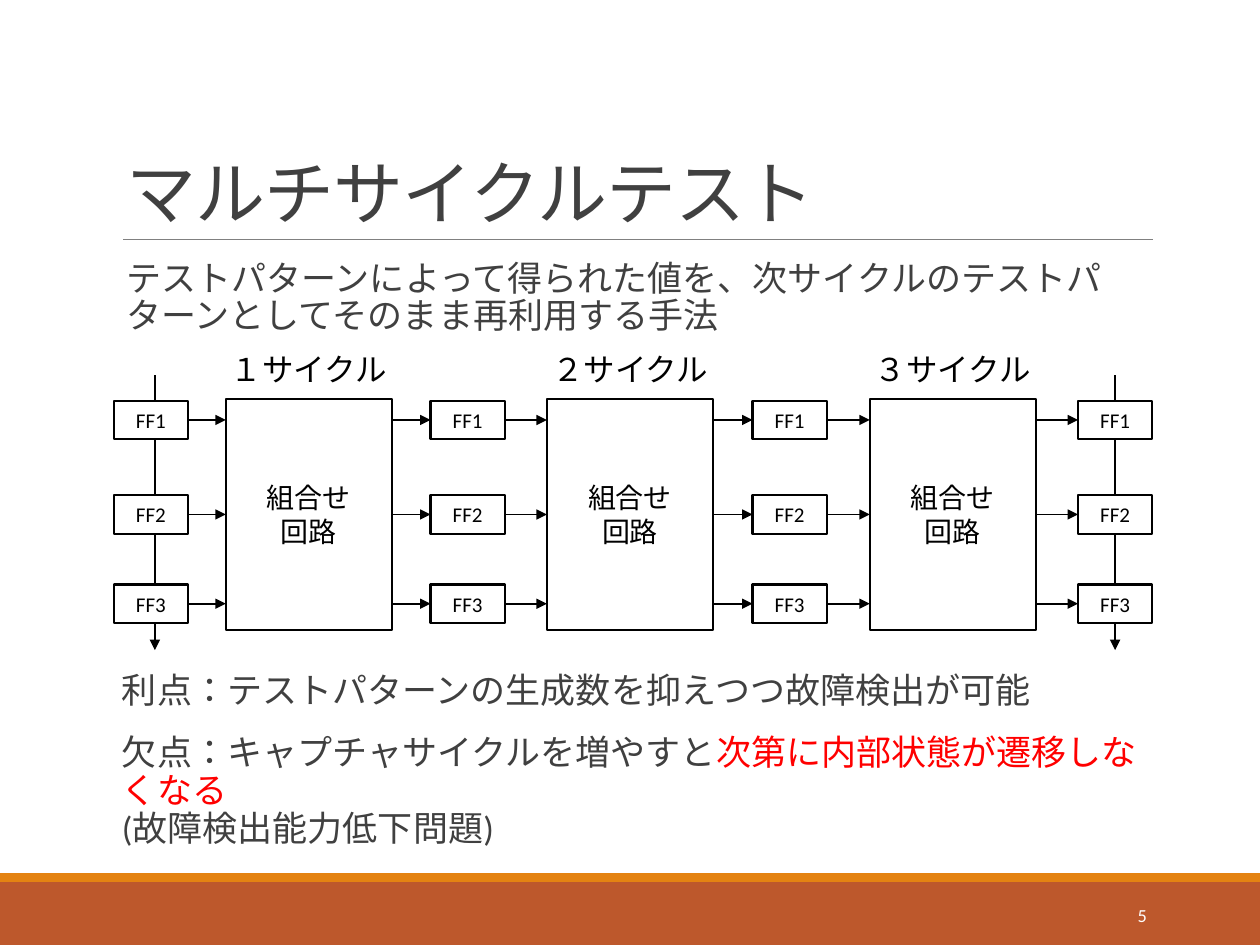
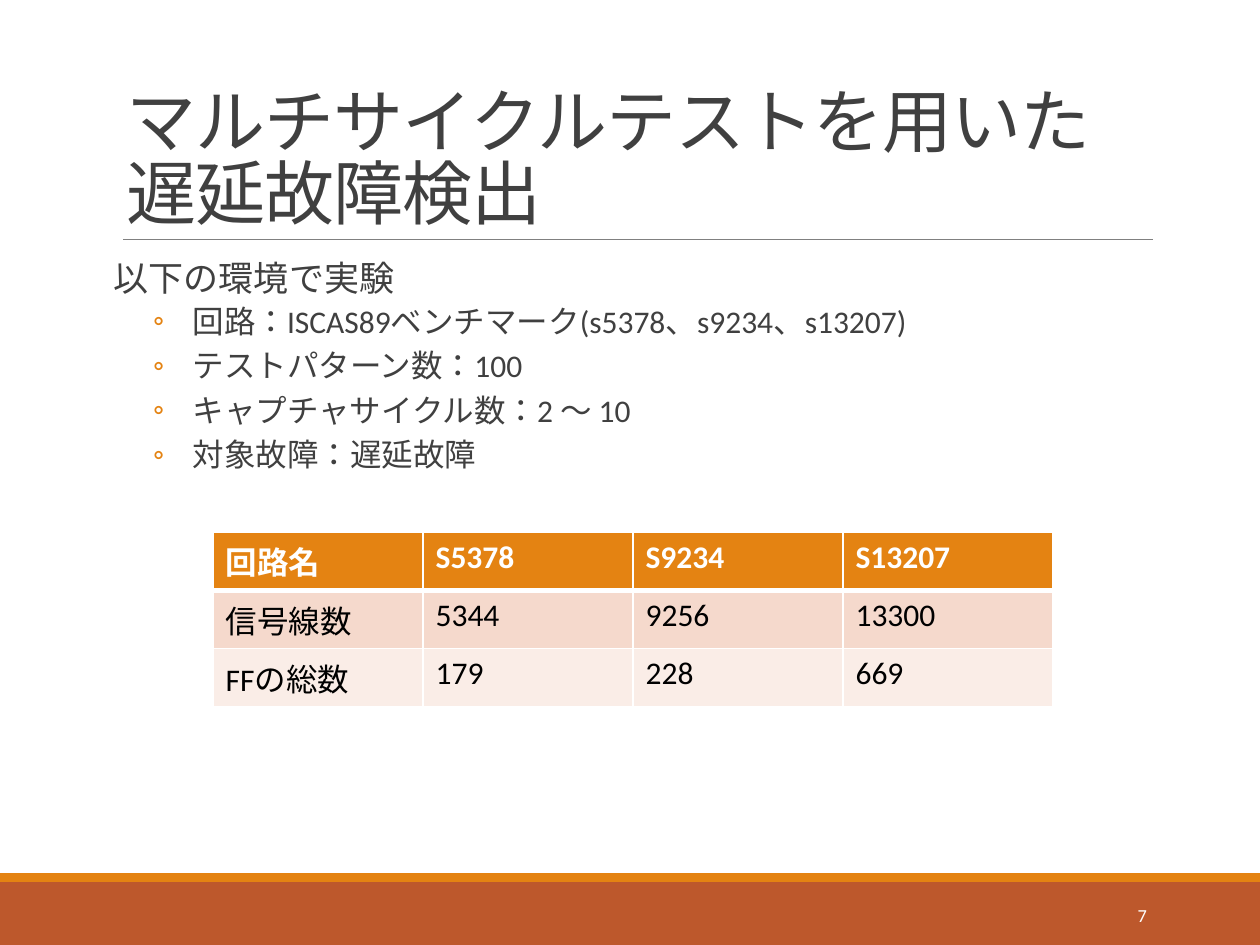
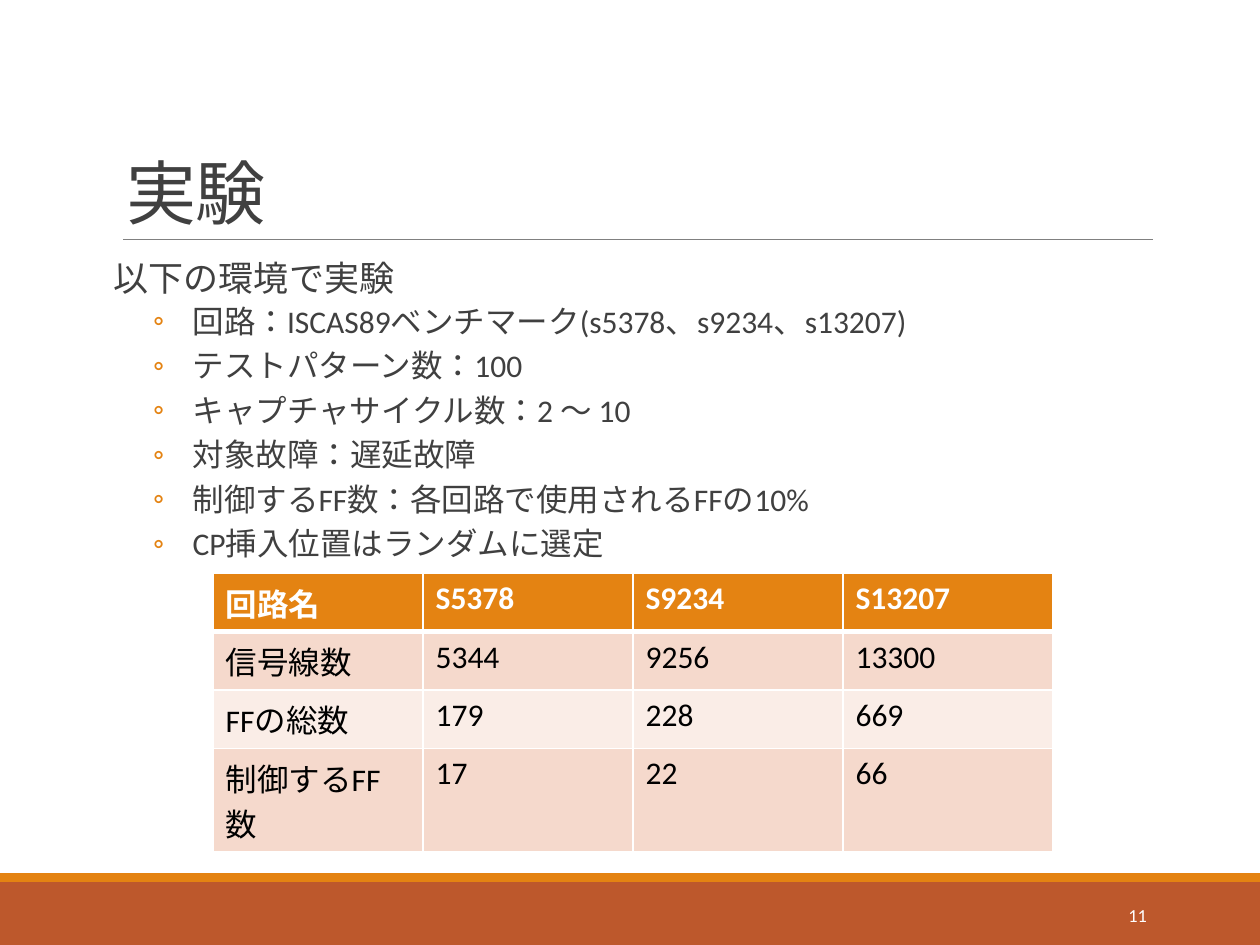
from dataclasses import dataclass

from lxml import etree
from pptx import Presentation
from pptx import util as u
from pptx.dml.color import RGBColor
from pptx.enum import lang, shapes, text
from pptx.oxml.ns import qn

Pt = u.Pt
LEFT, CENTER, RIGHT = (text.PP_ALIGN.LEFT, text.PP_ALIGN.CENTER,
                       text.PP_ALIGN.RIGHT)
TOP, MIDDLE, BOTTOM = (text.MSO_ANCHOR.TOP, text.MSO_ANCHOR.MIDDLE,
                       text.MSO_ANCHOR.BOTTOM)
LEFT_SIDE, RIGHT_SIDE = 1, 3  # connection sites of a rectangle


@dataclass(frozen=True)
class Theme:
    font: str = "Calibri"
    # Colours
    ink: str = "404040"
    black: str = "000000"
    white: str = "FFFFFF"
    alert: str = "FF0000"
    accent: str = "E48312"
    footer: str = "BD582C"
    rule: str = "808080"
    stripes: tuple = ("FAEDE7", "F5D9CC")
    # Type sizes
    title: float = 40
    body: float = 20
    item: float = 18
    circuit: float = 16
    ff: float = 12
    number: float = 10.5


@dataclass(frozen=True)
class ListStyle:
    size: float
    before: float
    after: float
    margin: float = 0
    hanging: float = 0
    bullet: str = ""
    level: int = 0


T = Theme()
LEAD = ListStyle(T.body, 12, 2)
NOTE = ListStyle(T.body, 12, 2, 7.2, 7.2, " ")
ITEM = ListStyle(T.item, 2, 4, 45, 22.5, "◦", 1)


def rgb(color):
    return RGBColor.from_string(color)


def add_color(parent, tag, color):
    el = etree.SubElement(parent, qn(tag))
    etree.SubElement(el, qn("a:srgbClr"), val=color)


class Deck:
    def __init__(self, theme):
        self.t = theme
        self.prs = Presentation()
        self.prs.slide_width, self.prs.slide_height = Pt(720), Pt(540)
        self.s = None

    # Slide frame: title, bands, rule and page number
    def new_slide(self, title, number):
        t = self.t
        self.s = self.prs.slides.add_slide(self.prs.slide_layouts[1])
        self.rect(0, 504, 720, 36, t.footer)
        self.rect(0, 499, 720, 5, t.accent)
        self.line(70.5, 136.8, 658.8, 136.8, t.rule, 0.5)
        sp = self.s.shapes.title
        self.place(sp, 65, 22.5, 594, 114.5)
        tf = self.frame(sp, BOTTOM)
        tf.text = title
        p = tf.paragraphs[0]
        p.alignment, p.line_spacing = LEFT, 0.85
        self.format_runs(p, t.title, t.ink)
        for r in p.runs:
            r.font._element.set("spc", "-50")
        self.label(584.5, 508.5, 78, 28.5, str(number), t.number, t.white, RIGHT)

    def place(self, sp, x, y, w, h):
        sp.left, sp.top, sp.width, sp.height = Pt(x), Pt(y), Pt(w), Pt(h)

    def frame(self, sp, anchor):
        tf = sp.text_frame
        tf.word_wrap = True
        tf.auto_size = text.MSO_AUTO_SIZE.NONE
        tf.vertical_anchor = anchor
        return tf

    def format_runs(self, p, size, color, bold=False):
        for r in p.runs:
            f = r.font
            f.name, f.size, f.bold = self.t.font, Pt(size), bold
            f.color.rgb = rgb(color)
            f.language_id = lang.MSO_LANGUAGE_ID.JAPANESE

    def caption(self, sp, words, size, color, align):
        tf = self.frame(sp, MIDDLE)
        tf.text = words
        for p in tf.paragraphs:
            p.alignment = align
            self.format_runs(p, size, color)

    # Lists
    def body(self, x, y, w, h, entries):
        sp = self.s.placeholders[1]
        self.place(sp, x, y, w, h)
        self.fill_list(sp, entries)

    def text_list(self, x, y, w, h, entries):
        sp = self.s.shapes.add_textbox(Pt(x), Pt(y), Pt(w), Pt(h))
        self.fill_list(sp, entries)

    def fill_list(self, sp, entries):
        """Each entry is a list style and its (text, colour) pieces."""
        tf = self.frame(sp, TOP)
        tf.margin_left = tf.margin_right = 0
        tf.margin_top = tf.margin_bottom = Pt(3.6)
        for i, (style, *pieces) in enumerate(entries):
            p = tf.paragraphs[0] if i == 0 else tf.add_paragraph()
            self.bullet(p, style)
            p.alignment, p.level, p.line_spacing = LEFT, style.level, 0.9
            p.space_before = Pt(style.before if i else 0)
            p.space_after = Pt(style.after)
            for words, color in pieces:
                for j, part in enumerate(words.split("\n")):
                    if j:
                        p.add_line_break()
                    if part:
                        r = p.add_run()
                        r.text = part
                        self.format_runs(p, style.size, color) if len(p.runs) == 1 \
                            else self.format_last(p, style.size, color)

    def format_last(self, p, size, color):
        f = p.runs[-1].font
        f.name, f.size, f.bold = self.t.font, Pt(size), False
        f.color.rgb = rgb(color)
        f.language_id = lang.MSO_LANGUAGE_ID.JAPANESE

    def bullet(self, p, style):
        pPr = p._p.get_or_add_pPr()
        pPr.set("marL", str(Pt(style.margin)))
        pPr.set("indent", str(-Pt(style.hanging)))
        if style.bullet:
            add_color(pPr, "a:buClr", self.t.accent)
            etree.SubElement(pPr, qn("a:buFont"), typeface=self.t.font)
            etree.SubElement(pPr, qn("a:buChar"), char=style.bullet)
        else:
            etree.SubElement(pPr, qn("a:buNone"))

    # Shapes, labels and lines
    def rect(self, x, y, w, h, fill, outline=None):
        sp = self.s.shapes.add_shape(shapes.MSO_SHAPE.RECTANGLE,
                                     Pt(x), Pt(y), Pt(w), Pt(h))
        sp.shadow.inherit = False
        sp.fill.solid()
        sp.fill.fore_color.rgb = rgb(fill)
        if outline:
            sp.line.color.rgb = rgb(outline)
            sp.line.width = Pt(1.25)
        else:
            sp.line.fill.background()
        return sp

    def block(self, x, y, w, h, words, size):
        sp = self.rect(x, y, w, h, self.t.white, self.t.black)
        self.caption(sp, words, size, self.t.black, CENTER)
        return sp

    def label(self, x, y, w, h, words, size, color, align):
        sp = self.s.shapes.add_textbox(Pt(x), Pt(y), Pt(w), Pt(h))
        self.caption(sp, words, size, color, align)

    def line(self, x1, y1, x2, y2, color, width):
        c = self.s.shapes.add_connector(shapes.MSO_CONNECTOR.STRAIGHT,
                                        Pt(x1), Pt(y1), Pt(x2), Pt(y2))
        c.line.color.rgb = rgb(color)
        c.line.width = Pt(width)
        etree.SubElement(c._element.spPr, qn("a:effectLst"))
        return c

    def arrow(self, x1, y1, x2, y2, start=None, end=None):
        c = self.line(x1, y1, x2, y2, self.t.black, 1)
        etree.SubElement(c.line._get_or_add_ln(), qn("a:tailEnd"), type="triangle")
        if start:
            c.begin_connect(start, RIGHT_SIDE)
        if end:
            c.end_connect(end, LEFT_SIDE)

    # Tables
    def table(self, x, y, col_w, row_h, rows):
        t = self.t
        n, m = len(rows), len(rows[0])
        tbl = self.s.shapes.add_table(n, m, Pt(x), Pt(y),
                                      Pt(col_w * m), Pt(row_h * n)).table
        for i, row in enumerate(rows):
            head = i == 0
            for j, value in enumerate(row):
                cell = tbl.cell(i, j)
                cell.text = value
                self.format_runs(cell.text_frame.paragraphs[0], t.item,
                                 t.white if head else t.black, head)
                self.borders(cell, top=3 if i == 1 else 1, bottom=3 if head else 1)
                cell.fill.solid()
                cell.fill.fore_color.rgb = rgb(t.accent if head else t.stripes[i % 2])

    def borders(self, cell, top, bottom):
        tcPr = cell._tc.get_or_add_tcPr()
        for side, width in (("L", 1), ("R", 1), ("T", top), ("B", bottom)):
            ln = etree.SubElement(tcPr, qn("a:ln" + side), w=str(Pt(width)))
            add_color(ln, "a:solidFill", self.t.white)


# Multi-cycle circuit diagram
FF_X = (65, 246, 430, 616)
FF_Y = (229, 283, 334)
FF_W, FF_H = 42.5, 22
CIRCUIT_X = (129, 312.5, 497)
CIRCUIT_Y, CIRCUIT_W, CIRCUIT_H = 228, 95, 132
LABEL_W = 120


def draw_circuits(d):
    # Scan chains run behind the first and last flip-flops
    for x in (88.5, 637.25):
        d.arrow(x, 214.5, x, 371.5)
    circuits = []
    for x, digit in zip(CIRCUIT_X, "１２３"):
        circuits.append(d.block(x, CIRCUIT_Y, CIRCUIT_W, CIRCUIT_H,
                                "組合せ\n回路", T.circuit))
        d.label(x + (CIRCUIT_W - LABEL_W) / 2, 197, LABEL_W, 28,
                digit + "サイクル", T.item, T.black, CENTER)
    for col, x in enumerate(FF_X):
        for row, y in enumerate(FF_Y):
            ff = d.block(x, y, FF_W, FF_H, f"FF{row + 1}", T.ff)
            mid = y + FF_H / 2
            centred = mid == CIRCUIT_Y + CIRCUIT_H / 2
            if col > 0:
                d.arrow(CIRCUIT_X[col - 1] + CIRCUIT_W, mid, x, mid,
                        start=circuits[col - 1] if centred else None, end=ff)
            if col < len(CIRCUIT_X):
                d.arrow(x + FF_W, mid, CIRCUIT_X[col], mid,
                        start=ff, end=circuits[col] if centred else None)


# Experiment slides share their conditions and table
CONDITIONS = ["回路：ISCAS89ベンチマーク(s5378、s9234、s13207)",
              "テストパターン数：100",
              "キャプチャサイクル数：2 ～ 10",
              "対象故障：遅延故障"]
CIRCUIT_ROWS = [["回路名", "S5378", "S9234", "S13207"],
                ["信号線数", "5344", "9256", "13300"],
                ["FFの総数", "179", "228", "669"]]


def experiment(d, title, number, table_y, conditions=(), rows=()):
    d.new_slide(title, number)
    d.body(65, 145.5, 594, 317,
           [(LEAD, ("以下の環境で実験", T.ink))]
           + [(ITEM, (c, T.ink)) for c in CONDITIONS + list(conditions)])
    d.table(121.75, table_y, 120, 29.25, CIRCUIT_ROWS + list(rows))


def main():
    d = Deck(T)

    # Multi-cycle test
    d.new_slide("マルチサイクルテスト", 5)
    d.body(65, 145.5, 594, 51, [
        (NOTE, ("テストパターンによって得られた値を、次サイクルのテストパターンとして"
                "そのまま再利用する手法", T.ink))])
    d.text_list(62.5, 381, 594, 115, [
        (NOTE, ("利点：テストパターンの生成数を抑えつつ故障検出が可能", T.ink)),
        (NOTE, ("欠点：キャプチャサイクルを増やすと", T.ink),
         ("次第に内部状態が遷移しなくなる\n", T.alert),
         ("(故障検出能力低下問題)", T.ink))])
    draw_circuits(d)

    # Experiments
    experiment(d, "マルチサイクルテストを用いた\v遅延故障検出", 7, 304)
    experiment(d, "実験", 11, 327.75,
               ["制御するFF数：各回路で使用されるFFの10%",
                "CP挿入位置はランダムに選定"],
               [["制御するFF数", "17", "22", "66"]])

    d.prs.save("out.pptx")


if __name__ == "__main__":
    main()
